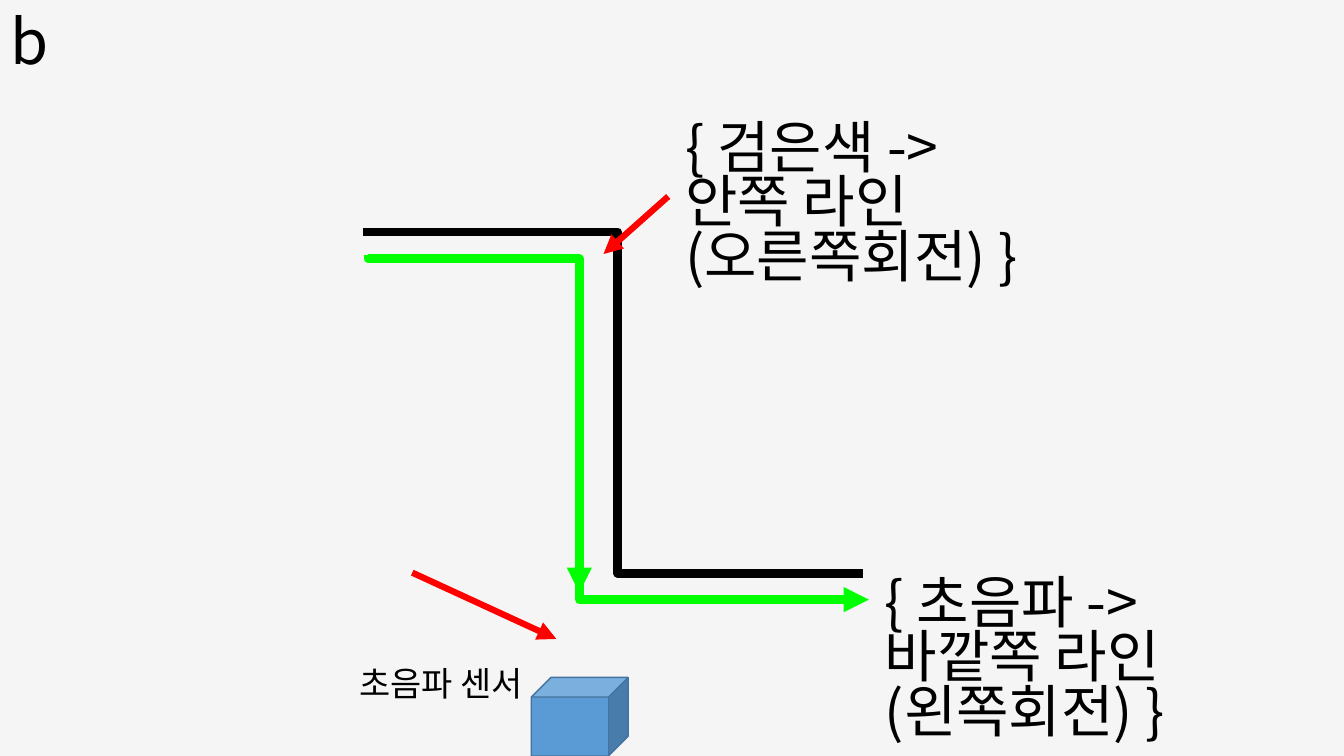
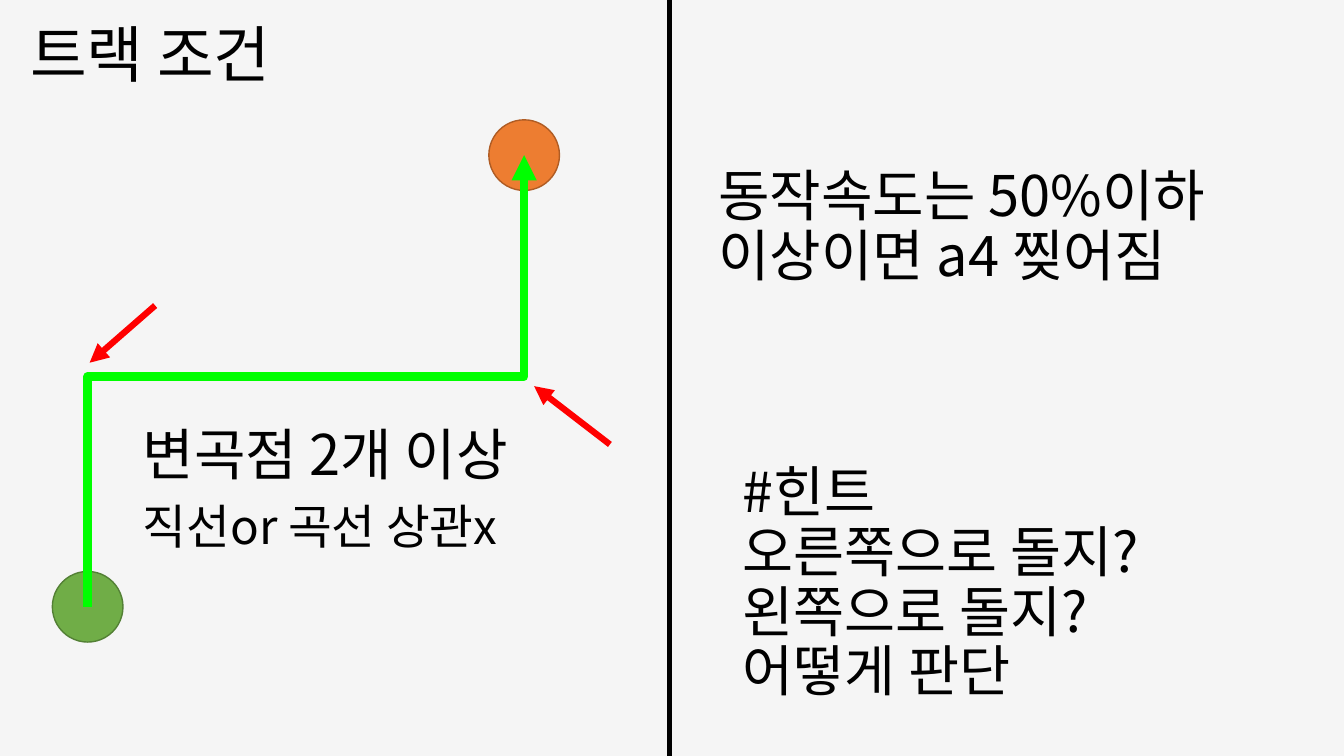
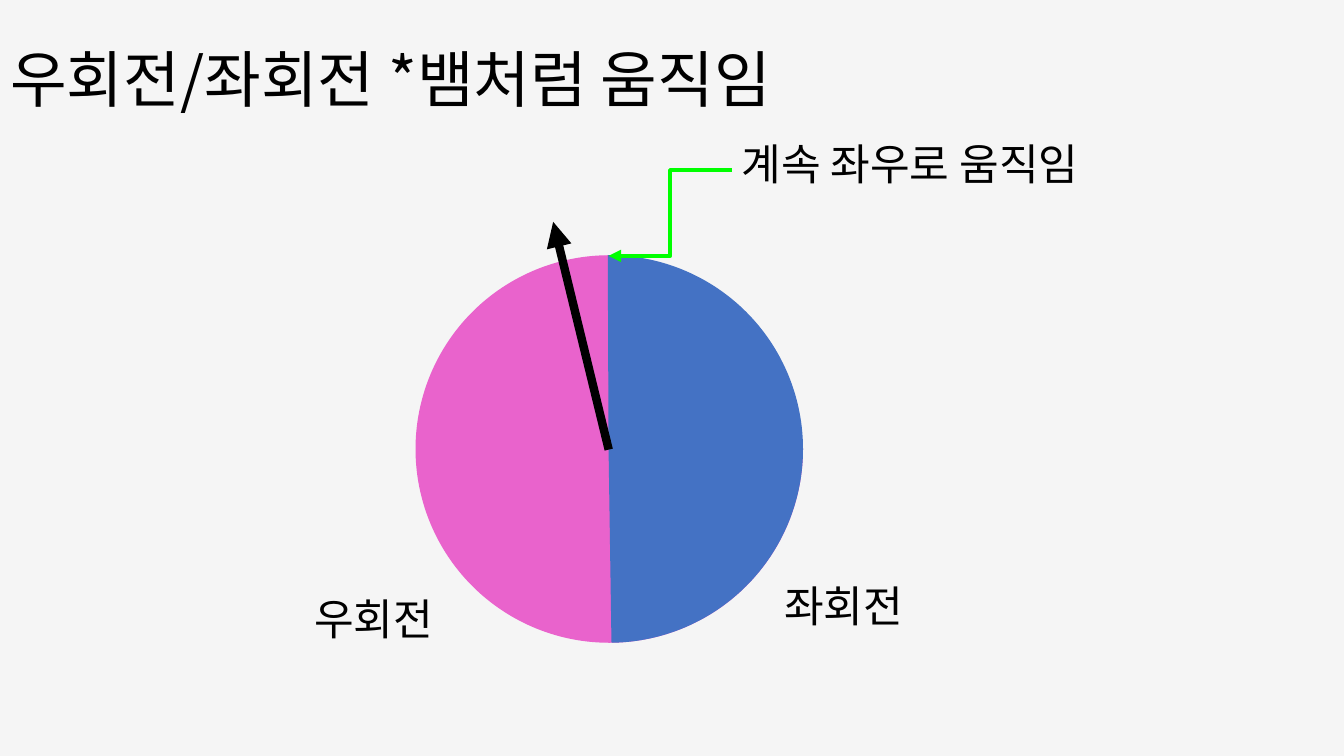
from lxml import etree
from pptx import Presentation
from pptx import util as u
from pptx.dml.color import RGBColor
from pptx.enum import shapes, text
from pptx.oxml import ns

FONT = "Noto Sans CJK KR"
BACKGROUND, BLACK, RED, GREEN = "F5F5F5", "000000", "FF0000", "00FF00"
SLIDE_WIDTH, SLIDE_HEIGHT = 33.87, 19.05


def colour(hex_value):
    return RGBColor.from_string(hex_value)


def add_child(parent, tag, **attributes):
    return etree.SubElement(parent, ns.qn(tag), attributes)


def write(box, words, size, spacing):
    frame = box.text_frame
    frame.text = words
    frame.word_wrap = True
    frame.auto_size = text.MSO_AUTO_SIZE.NONE
    frame.vertical_anchor = text.MSO_ANCHOR.MIDDLE
    for para in frame.paragraphs:
        para.alignment = text.PP_ALIGN.LEFT
        para.line_spacing = spacing
        para.space_before = para.space_after = u.Pt(0)
        for span in para.runs:
            span.font.name = FONT
            span.font.size = u.Pt(size)
            span.font.color.rgb = colour(BLACK)
            add_child(span.font._element, "a:ea", typeface=FONT)


def add_text(page, words, left, top, width, height, size, spacing):
    box = page.shapes.add_textbox(u.Cm(left), u.Cm(top), u.Cm(width), u.Cm(height))
    write(box, words, size, spacing)


def add_page(deck, title, left, top, width, size=44):
    page = deck.slides.add_slide(deck.slide_layouts[5])
    box = page.shapes.title
    box.left, box.top = u.Cm(left), u.Cm(top)
    box.width, box.height = u.Cm(width), u.Cm(3.68)
    write(box, title, size, 0.9)
    return page


def add_solid(page, kind, left, top, width, height, fill, outline):
    shape = page.shapes.add_shape(kind, u.Cm(left), u.Cm(top), u.Cm(width), u.Cm(height))
    shape.shadow.inherit = False
    shape.fill.solid()
    shape.fill.fore_color.rgb = colour(fill)
    shape.line.color.rgb = colour(outline)
    shape.line.width = u.Pt(1)
    return shape


def add_line(page, start, end, ink, weight, arrow=True, kind=shapes.MSO_CONNECTOR.STRAIGHT):
    line = page.shapes.add_connector(kind, *(u.Cm(value) for value in (*start, *end)))
    line.line.color.rgb = colour(ink)
    line.line.width = u.Pt(weight)
    if arrow:
        add_child(line.line._get_or_add_ln(), "a:tailEnd", type="triangle")
    add_child(line._element.spPr, "a:effectLst")
    return line


def add_elbow(page, start, end, ink, weight, bend, arrow=True, upright=False):
    if upright:
        middle_x, middle_y = (start[0] + end[0]) / 2, (start[1] + end[1]) / 2
        half_x, half_y = (end[0] - start[0]) / 2, (end[1] - start[1]) / 2
        start = middle_x - half_y, middle_y + half_x
        end = middle_x + half_y, middle_y - half_x
    line = add_line(page, start, end, ink, weight, arrow, shapes.MSO_CONNECTOR.ELBOW)
    properties = line._element.spPr
    if upright:
        properties.find(ns.qn("a:xfrm")).set("rot", "5400000")
    guides = properties.find(ns.qn("a:prstGeom")).find(ns.qn("a:avLst"))
    add_child(guides, "a:gd", name="adj1", fmla=f"val {round(bend * 100000)}")


def draw_corner_track(page, left, top):
    def at(x, y):
        return left + x, top + y

    add_elbow(page, at(0, 0), at(12.6, 8.61), BLACK, 6, 0.51, arrow=False)
    add_elbow(page, at(0.13, 0.59), at(5.46, 9.1), GREEN, 6, 0.01, upright=True)
    add_elbow(page, at(5.46, 8.61), at(12.76, 9.27), GREEN, 6, 0)
    add_line(page, at(7.7, -0.89), at(6.07, 0.56), RED, 4.5)
    add_line(page, at(1.25, 8.59), at(4.88, 10.26), RED, 4.5)


def draw_sensor(page, left, top):
    add_text(page, "초음파 센서", left, top, 5.49, 1.83, 24.2, 0.7)
    add_solid(page, shapes.MSO_SHAPE.CUBE, left + 4.58, top + 0.66, 2.44, 1.98,
              "5B9BD5", "43739E")


def draw_condition_track(page, left, top):
    def at(x, y):
        return left + x, top + y

    diameter = 1.78
    radius = diameter / 2
    start, goal = (0, 11.38), (11, 0)
    for spot, fill, outline in ((start, "70AD47", "538035"), (goal, "ED7D31", "AF5C24")):
        add_solid(page, shapes.MSO_SHAPE.OVAL, *at(*spot), diameter, diameter, fill, outline)
    route = [at(x + radius, y + radius) for x, y in (start, goal)]
    add_elbow(page, *route, GREEN, 6, 0.51, upright=True)
    add_line(page, at(2.59, 4.68), at(0.94, 6.12), RED, 4.5)
    add_line(page, at(14.05, 8.18), at(12.14, 6.71), RED, 4.5)
    add_text(page, "변곡점 2개 이상", *at(2.03, 7.55), 10.74, 1.9, 40, 0.9)
    add_text(page, "직선or 곡선 상관x", *at(2.03, 9.4), 10.74, 1.9, 34, 0.8)


def draw_steering_wheel(page, left, top):
    def at(x, y):
        return left + x, top + y

    diameter = 9.73
    for first, last, fill in ((0, 271.28, "E963CC"), (269.77, 89.13, "4472C4")):
        half = add_solid(page, shapes.MSO_SHAPE.PIE, *at(0, 0), diameter, diameter, fill, fill)
        half.adjustments[0] = first * 0.6
        half.adjustments[1] = last * 0.6
    add_line(page, at(4.85, 4.88), at(3.45, -0.86), BLACK, 6)
    add_elbow(page, at(7.95, -2.16), at(4.85, 0), GREEN, 3, 0.5)
    for words, x, y, width in (("우회전", -2.82, 8.21, 3.81),
                               ("좌회전", 9.02, 7.88, 3.81),
                               ("계속 좌우로 움직임", 7.95, -3.25, 10.36)):
        add_text(page, words, *at(x, y), width, 2.16, 30.8, 0.7)


def build_corner_page(deck):
    page = add_page(deck, "b", 0, -0.71, 33.5)
    draw_corner_track(page, 9.14, 5.84)
    for words, left, top in (("{ 검은색 ->\n안쪽 라인\n(오른쪽회전) }", 17.02, 2.97),
                             ("{ 초음파 ->\n바깥쪽 라인\n(왼쪽회전) }", 22.05, 14.43)):
        add_text(page, words, left, top, 12.07, 4.47, 40.7, 0.8)
    draw_sensor(page, 8.81, 16.41)


def build_condition_page(deck):
    hint = "#힌트\n오른쪽으로 돌지?\n왼쪽으로 돌지?\n어떻게 판단"
    page = add_page(deck, hint, 18.47, 12.88, 12.65, 39.6)
    draw_condition_track(page, 1.32, 3.02)
    add_text(page, "트랙 조건", 0.51, 0.56, 7.44, 1.9, 44, 0.8)
    add_text(page, "동작속도는 50%이하\n이상이면 a4 찢어짐", 17.86, 3.91, 14.99, 3.68, 40, 0.9)
    add_line(page, (16.87, 0), (16.87, SLIDE_HEIGHT), BLACK, 3, arrow=False)


def build_steering_page(deck):
    page = add_page(deck, "우회전/좌회전 *뱀처럼 움직임", 0, 0.25, 29.21)
    draw_steering_wheel(page, 10.49, 6.45)


def main():
    deck = Presentation()
    deck.slide_width, deck.slide_height = u.Cm(SLIDE_WIDTH), u.Cm(SLIDE_HEIGHT)
    backdrop = deck.slide_master.background.fill
    backdrop.solid()
    backdrop.fore_color.rgb = colour(BACKGROUND)
    build_corner_page(deck)
    build_condition_page(deck)
    build_steering_page(deck)
    deck.save("out.pptx")


if __name__ == "__main__":
    main()
